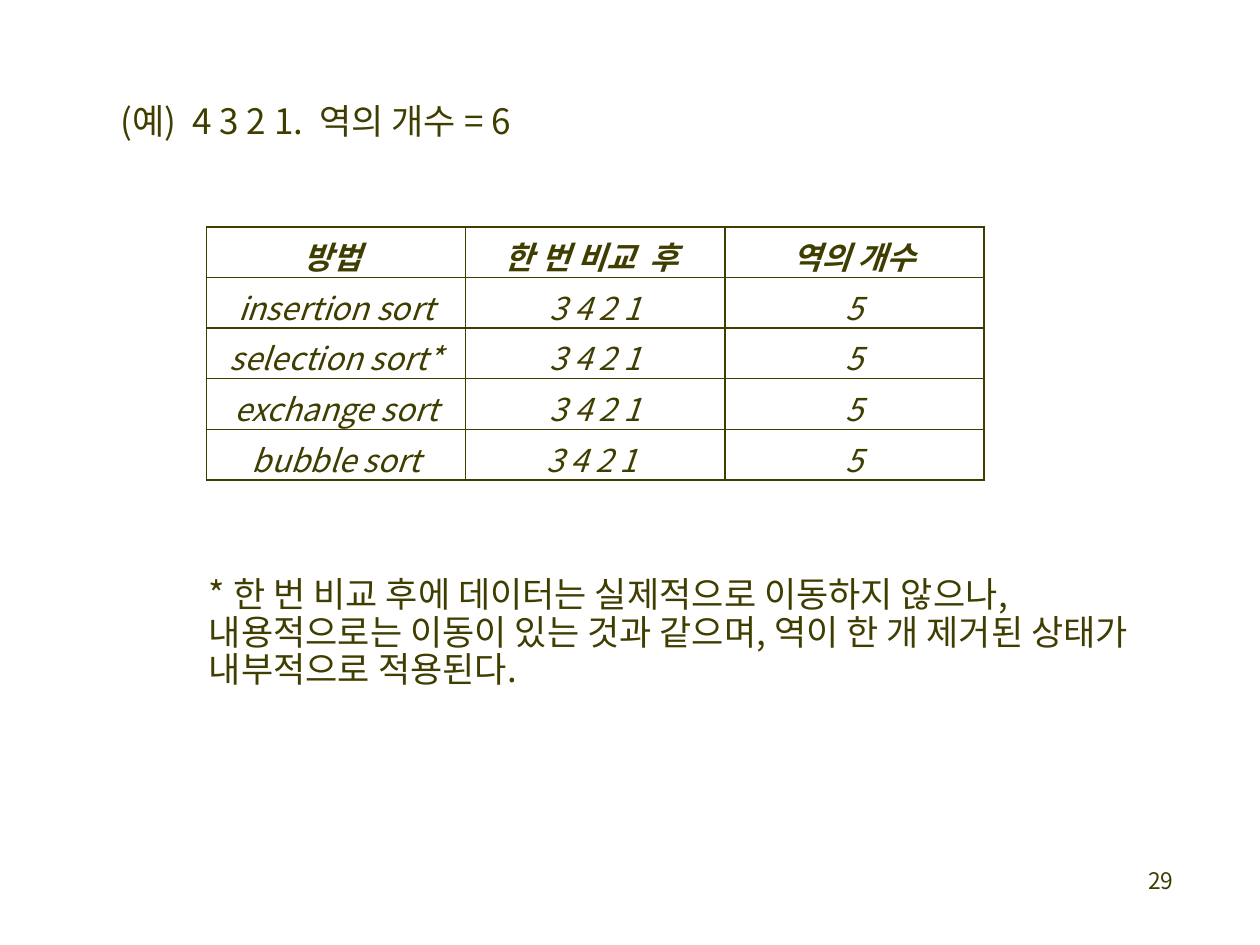
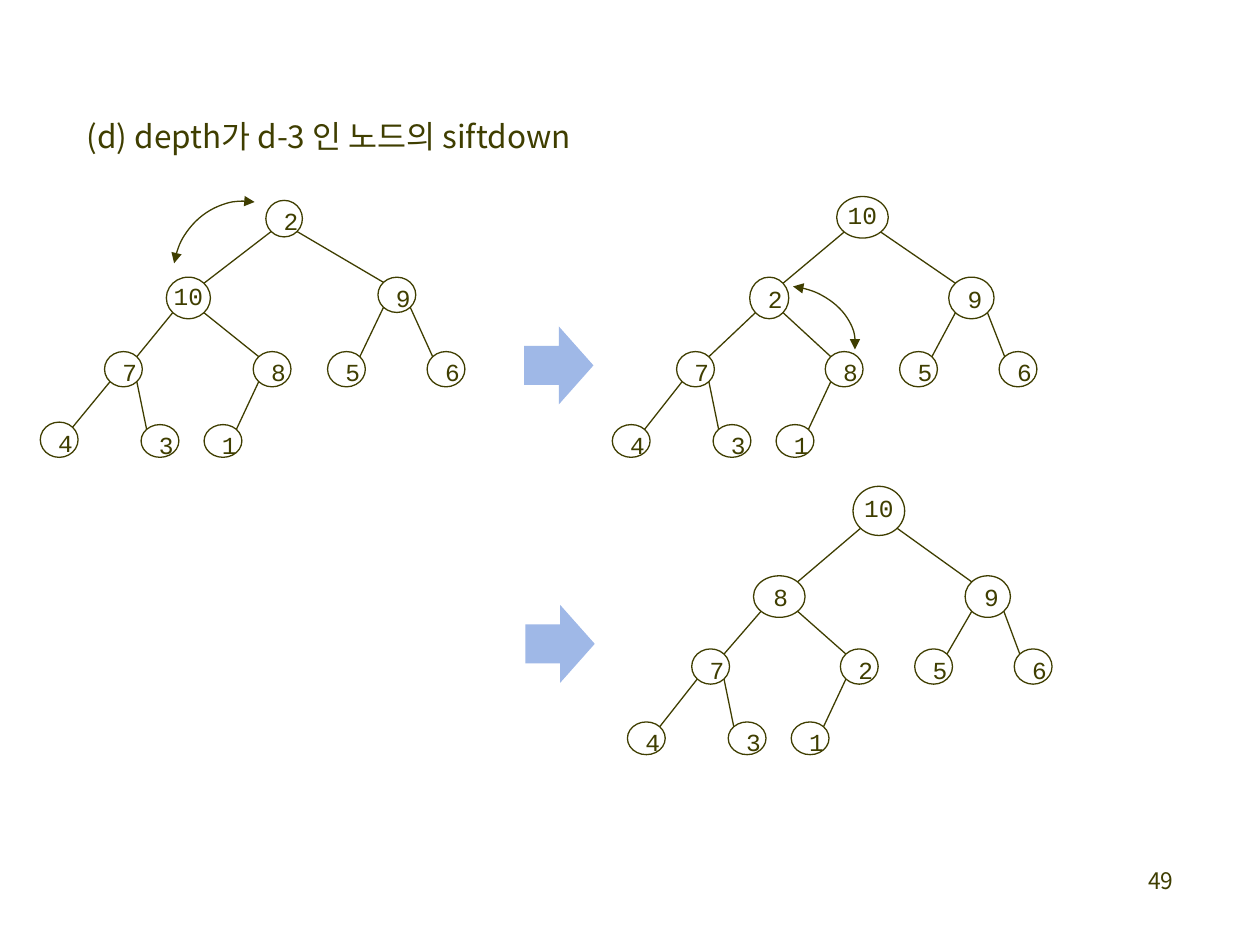
import pptx
import pptx.util
import pptx.dml.color
import pptx.enum.shapes
import pptx.enum.text
import pptx.oxml
import lxml.etree

COLORS = {"ink": "3F3E00", "arrow": "9FB8E7"}
SANS, MONO = "Noto Sans CJK KR", "Courier New"
WIDTH, HEIGHT = 10, 7.5

EXAMPLE = "(예)  4 3 2 1.  역의 개수 = 6"
SORT_ROWS = [
    ("방법 ", "한 번 비교  후 ", "역의 개수"),
    ("insertion sort", "3 4 2 1", "5"),
    ("selection sort*", "3 4 2 1", "5"),
    ("exchange sort", "3 4 2 1", "5"),
    ("bubble sort", "3 4 2 1 ", "5"),
]
FOOTNOTE = (
    "* 한 번 비교 후에 데이터는 실제적으로 이동하지 않으나, 내용적으로는 이동이 있는 것과 같으며, "
    "역이 한 개 제거된 상태가 내부적으로 적용된다."
)
STEP_TITLE = "(d) depth가 d-3 인 노드의 siftdown"

LOWER_NODES = {
    3: (0.83, 2.79), 4: (2.01, 2.79), 5: (2.6, 2.79), 6: (3.39, 2.79),
    7: (0.32, 3.37), 8: (1.12, 3.37), 9: (1.62, 3.37),
}
HEAPS = [
    {"values": [2, 10, 9, 7, 8, 5, 6, 4, 3, 1], "shift": (0, 0),
     "special": {0: (2.11, 1.59, 0.29, 0.29), 1: (1.32, 2.2, 0.35, 0.33),
                 2: (3, 2.2, 0.3, 0.28), 7: (0.32, 3.35, 0.3, 0.28)}},
    {"values": [10, 2, 9, 7, 8, 5, 6, 4, 3, 1], "shift": (4.54, 0),
     "special": {0: (6.64, 1.56, 0.41, 0.33), 1: (5.95, 2.2, 0.31, 0.33),
                 2: (7.53, 2.2, 0.36, 0.33)}},
    {"values": [10, 8, 9, 7, 2, 5, 6, 4, 3, 1], "shift": (4.66, 2.36),
     "special": {0: (6.77, 3.86, 0.41, 0.39), 1: (5.98, 4.57, 0.41, 0.33),
                 2: (7.66, 4.57, 0.36, 0.33)}},
]
STEP_ARROWS = [(4.16, 2.59, 0.55, 0.62), (4.17, 4.8, 0.55, 0.62)]
SWAP_ARCS = [((1.34, 1.63, 1.17, 1.1), 279.5), ((5.69, 2.27, 1.1, 0.87), 7.2)]

SHAPE = pptx.enum.shapes.MSO_SHAPE
ALIGN = pptx.enum.text.PP_ALIGN
ANCHOR = pptx.enum.text.MSO_ANCHOR


def inches(lengths):
    return [pptx.util.Inches(length) for length in lengths]


def rgb(name):
    return pptx.dml.color.RGBColor.from_string(COLORS[name])


def write(frame, text, size=18, font=SANS, align=None, spacing=None, before=None, bold=None, italic=None):
    para = frame.paragraphs[0]
    para.alignment = align
    para.line_spacing = spacing
    if before:
        para.space_before = pptx.util.Pt(before * size)
    span = para.add_run()
    span.text = text
    span.font.name = font
    span.font.size = pptx.util.Pt(size)
    span.font.bold = bold
    span.font.italic = italic
    span.font.color.rgb = rgb("ink")


def add_text(page, place, text, wrap=True, grow=True, **style):
    box = page.shapes.add_textbox(*inches(place))
    box.text_frame.word_wrap = wrap
    if grow:
        box.text_frame.auto_size = pptx.enum.text.MSO_AUTO_SIZE.SHAPE_TO_FIT_TEXT
    write(box.text_frame, text, **style)


def add_page(deck, number):
    page = deck.slides.add_slide(deck.slide_layouts[6])
    add_text(page, (7.33, 6.83, 2.08, 0.5), str(number), grow=False, size=13, align=ALIGN.RIGHT)
    return page


def draw_line(line):
    line.color.rgb = rgb("ink")
    line.width = pptx.util.Pt(0.75)


def add_outline(page, kind, place):
    shape = page.shapes.add_shape(kind, *inches(place))
    shape.shadow.inherit = False
    shape.fill.background()
    draw_line(shape.line)
    return shape


def add_node(page, place, value):
    node = add_outline(page, SHAPE.OVAL, place)
    frame = node.text_frame
    frame.word_wrap = True
    frame.vertical_anchor = ANCHOR.TOP
    if value >= 10:
        frame.vertical_anchor = ANCHOR.MIDDLE
        frame.margin_left = frame.margin_right = frame.margin_top = frame.margin_bottom = 0
    write(frame, str(value), size=14, font=MONO, align=ALIGN.CENTER, spacing=0.8, before=0.2)
    return node


def diagonal_point(node, right, down):
    reach = 0.5 ** 0.5
    return (int(node.left + node.width * (1 + right * reach) / 2),
            int(node.top + node.height * (1 + down * reach) / 2))


def add_edge(page, parent, child, side):
    edge = page.shapes.add_connector(
        pptx.enum.shapes.MSO_CONNECTOR.STRAIGHT,
        *diagonal_point(parent, side, 1), *diagonal_point(child, -side, -1))
    draw_line(edge.line)
    lxml.etree.SubElement(edge._element.spPr, pptx.oxml.ns.qn("a:effectLst"))


def add_heap(page, heap):
    shift_x, shift_y = heap["shift"]
    nodes = []
    for index, value in enumerate(heap["values"]):
        place = heap["special"].get(index)
        if place is None:
            left, top = LOWER_NODES[index]
            place = (left + shift_x, top + shift_y, 0.3, 0.28 if index < 7 else 0.26)
        nodes.append(add_node(page, place, value))
    for index in range(1, len(nodes)):
        add_edge(page, nodes[(index - 1) // 2], nodes[index], -1 if index % 2 else 1)


def add_swap_arc(page, place, rotation):
    arc = add_outline(page, SHAPE.ARC, place)
    arc.rotation = rotation
    for end in ("a:headEnd", "a:tailEnd"):
        lxml.etree.SubElement(arc.line._ln, pptx.oxml.ns.qn(end), type="triangle")


def add_step_arrow(page, place):
    arrow = page.shapes.add_shape(SHAPE.RIGHT_ARROW, *inches(place))
    arrow.shadow.inherit = False
    arrow.fill.solid()
    arrow.fill.fore_color.rgb = rgb("arrow")
    arrow.line.fill.background()


def border_cell(cell):
    properties = cell._tc.get_or_add_tcPr()
    for position, side in enumerate(("a:lnL", "a:lnR", "a:lnT", "a:lnB")):
        line = lxml.etree.Element(pptx.oxml.ns.qn(side), w=str(pptx.util.Pt(1)))
        fill = lxml.etree.SubElement(line, pptx.oxml.ns.qn("a:solidFill"))
        lxml.etree.SubElement(fill, pptx.oxml.ns.qn("a:srgbClr"), val=COLORS["ink"])
        properties.insert(position, line)


def add_sort_table(page, place):
    table = page.shapes.add_table(len(SORT_ROWS), len(SORT_ROWS[0]), *inches(place)).table
    table.first_row = table.horz_banding = False
    for row, texts in enumerate(SORT_ROWS):
        for column, text in enumerate(texts):
            cell = table.cell(row, column)
            cell.fill.background()
            border_cell(cell)
            write(cell.text_frame, text, align=ALIGN.CENTER, bold=row == 0, italic=True)


def main():
    deck = pptx.Presentation()
    deck.slide_width, deck.slide_height = inches((WIDTH, HEIGHT))

    page = add_page(deck, 29)
    add_text(page, (0.86, 0.78, 3.82, 0.77), EXAMPLE, wrap=False, size=20, spacing=0.9, before=0.2)
    add_sort_table(page, (1.64, 1.8, 6.17, 2.01))
    add_text(page, (1.56, 4.53, 8.05, 1.01), FOOTNOTE, size=20, spacing=0.9, before=0.2)

    page = add_page(deck, 49)
    add_text(page, (0.59, 0.91, 4.35, 0.37), STEP_TITLE, wrap=False, spacing=0.9, before=0.2)
    for heap in HEAPS:
        add_heap(page, heap)
    for place in STEP_ARROWS:
        add_step_arrow(page, place)
    for place, rotation in SWAP_ARCS:
        add_swap_arc(page, place, rotation)

    deck.save("out.pptx")


if __name__ == "__main__":
    main()
